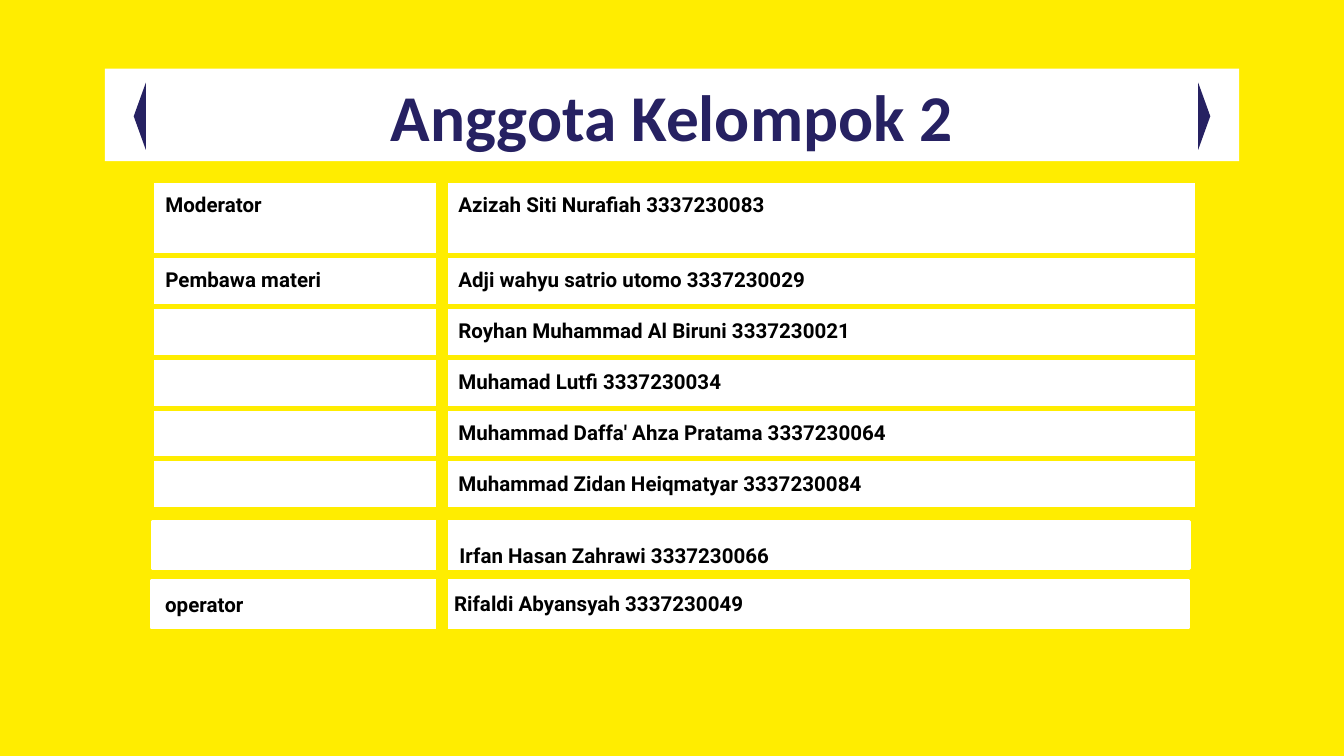
from lxml import etree
from pptx import Presentation
from pptx import util as u
from pptx.dml.color import RGBColor
from pptx.enum import shapes, text
from pptx.oxml.ns import qn

YELLOW = RGBColor(0xFF, 0xED, 0x00)
WHITE = RGBColor(0xFF, 0xFF, 0xFF)
NAVY = RGBColor(0x26, 0x21, 0x62)
BLACK = RGBColor(0, 0, 0)

# Content
TITLE = "Anggota Kelompok 2"
MEMBERS = [
    ("Moderator", "Azizah Siti Nurafiah 3337230083"),
    ("Pembawa materi", "Adji wahyu satrio utomo 3337230029"),
    ("", "Royhan Muhammad Al Biruni 3337230021"),
    ("", "Muhamad Lutfi 3337230034"),
    ("", "Muhammad Daffa' Ahza Pratama 3337230064"),
    ("", "Muhammad Zidan Heiqmatyar 3337230084"),
]
LAST_PRESENTER = "Irfan Hasan Zahrawi 3337230066"
OPERATOR = ("operator", "Rifaldi Abyansyah 3337230049")

# Layout in inches, on a 16:9 slide
WIDTH = 10
HEIGHT = WIDTH * 9 / 16
TITLE_BOX = (0.78, 0.51, 8.44, 0.69)
LEFT, TOP = 1.13, 1.34
COLUMNS = (2.18, 5.6)
FIRST_ROW, ROW = 0.56, 0.37
ROW_HEIGHTS = [FIRST_ROW] + [ROW] * (len(MEMBERS) - 1)
INSET = 0.1

BODY = {"name": "Roboto", "size": u.Pt(11), "bold": True}
HEADING = {"name": "Calibri", "size": u.Pt(35), "bold": True}


def write(frame, words, style=BODY, color=BLACK, align=text.PP_ALIGN.LEFT):
    paragraph = frame.paragraphs[0]
    paragraph.alignment = align
    if words:
        run = paragraph.add_run()
        run.text = words
        for name, value in style.items():
            setattr(run.font, name, value)
        run.font.color.rgb = color
    else:  # keep empty cells as low as the filled ones
        end = etree.SubElement(paragraph._p, qn("a:endParaRPr"),
                               sz=str(int(style["size"].pt * 100)), b="1")
        for script in ("a:latin", "a:ea", "a:cs"):
            etree.SubElement(end, qn(script), typeface=style["name"])
    return paragraph


def add_box(slide, box, fill, kind=shapes.MSO_SHAPE.RECTANGLE, line=None):
    shape = slide.shapes.add_shape(kind, *map(u.Inches, box))
    shape.shadow.inherit = False
    shape.fill.solid()
    shape.fill.fore_color.rgb = fill
    if line:
        shape.line.color.rgb = fill
        shape.line.width = u.Pt(line)
    else:
        shape.line.fill.background()
    shape.text_frame.vertical_anchor = text.MSO_ANCHOR.MIDDLE
    return shape


def add_label(slide, box, words, align=text.PP_ALIGN.LEFT):
    label = slide.shapes.add_textbox(*map(u.Inches, box))
    label.text_frame.word_wrap = True
    return write(label.text_frame, words, align=align)


def style_cell(cell):
    for side in ("left", "right", "top", "bottom"):
        setattr(cell, f"margin_{side}", u.Inches(INSET))
    properties = cell._tc.get_or_add_tcPr()
    for edge in ("a:lnL", "a:lnR", "a:lnT", "a:lnB"):
        border = etree.SubElement(properties, qn(edge), w=str(u.Pt(3)))
        fill = etree.SubElement(border, qn("a:solidFill"))
        etree.SubElement(fill, qn("a:srgbClr"), val=str(YELLOW))
    cell.fill.solid()
    cell.fill.fore_color.rgb = WHITE


def add_members(slide):
    box = (LEFT, TOP, sum(COLUMNS), sum(ROW_HEIGHTS))
    table = slide.shapes.add_table(len(MEMBERS), len(COLUMNS),
                                   *map(u.Inches, box)).table
    table.first_row = table.horz_banding = False
    for column, width in zip(table.columns, COLUMNS):
        column.width = u.Inches(width)
    for row, height, member in zip(table.rows, ROW_HEIGHTS, MEMBERS):
        row.height = u.Inches(height)
        for cell, words in zip(row.cells, member):
            style_cell(cell)
            write(cell.text_frame, words)


def main():
    presentation = Presentation()
    presentation.slide_width = u.Inches(WIDTH)
    presentation.slide_height = u.Inches(HEIGHT)
    slide = presentation.slides.add_slide(presentation.slide_layouts[6])
    slide.background.fill.solid()
    slide.background.fill.fore_color.rgb = YELLOW

    # Row strip below the table
    add_box(slide, (1.14, 3.88, 7.71, 0.35), WHITE, line=2)

    # Title band
    title = add_box(slide, TITLE_BOX, WHITE)
    write(title.text_frame, TITLE, HEADING, NAVY, text.PP_ALIGN.CENTER)

    # Members
    add_members(slide)

    # Arrowheads at both ends of the title
    for left, rotation in ((8.71, 90), (0.79, 270)):
        arrow = add_box(slide, (left, 0.82, 0.5, 0.09), NAVY,
                        shapes.MSO_SHAPE.ISOSCELES_TRIANGLE)
        arrow.rotation = rotation

    # Last presenter and operator
    strip = add_box(slide, (LEFT, 4.32, 7.71, 0.35), WHITE, line=2)
    write(strip.text_frame, OPERATOR[0])
    add_label(slide, (3.32, 3.99, 4.05, 0.29), LAST_PRESENTER)
    paragraph = add_label(slide, (1.78, 4.26, 5.59, 0.63), OPERATOR[1],
                          text.PP_ALIGN.JUSTIFY)
    paragraph.line_spacing = 1.5
    paragraph.space_before = u.Pt(0.5)
    properties = paragraph._p.get_or_add_pPr()
    properties.set("marL", str(u.Inches(1)))
    properties.set("indent", str(u.Inches(0.5)))

    # Divider between the columns
    add_box(slide, (3.26, TOP, 0.06, 4.14), YELLOW, line=2)

    presentation.save("out.pptx")


if __name__ == "__main__":
    main()
